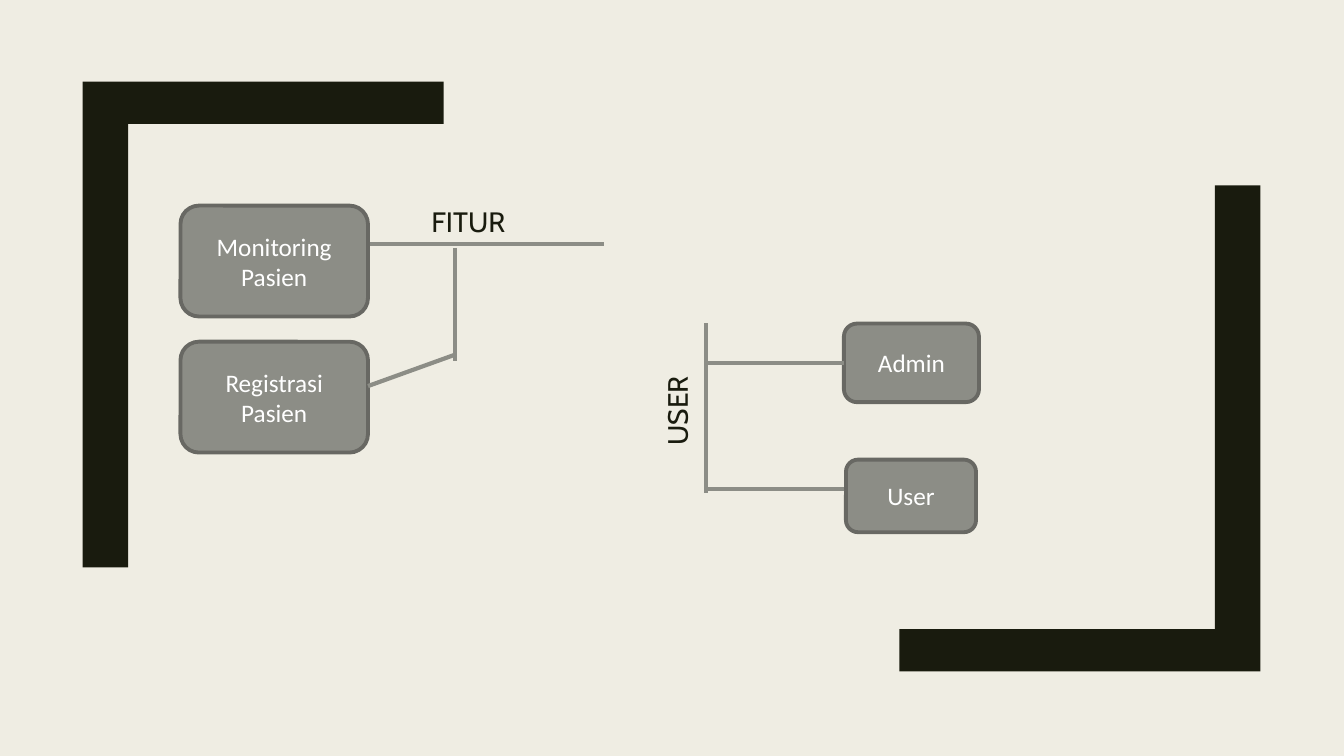
import pptx
import pptx.dml.color
import pptx.enum.shapes
import pptx.enum.text
import pptx.oxml.ns
import pptx.util
import lxml.etree

Inches = pptx.util.Inches
Pt = pptx.util.Pt
ALIGN = pptx.enum.text.PP_ALIGN
ANCHOR = pptx.enum.text.MSO_ANCHOR

COLORS = {
    "background": "EFEDE3",
    "dark": "191B0E",
    "gray": "8C8D86",
    "border": "686863",
    "white": "FFFFFF",
}
BOX_FONT = {"name": "Calibri", "size": Pt(18)}
LABEL_FONT = {"name": "Cabin", "size": Pt(20)}
LABEL_PARAGRAPH = {"alignment": ALIGN.CENTER, "line_spacing": 0.89}
BOX_PARAGRAPH = {"alignment": ALIGN.CENTER}


def color(name):
    return pptx.dml.color.RGBColor.from_string(COLORS[name])


def apply_format(target, values):
    for name, value in values.items():
        setattr(target, name, value)


def write_text(shape, text, paragraph_format, font_format, color_name, anchor):
    apply_format(shape.text_frame, {"word_wrap": True, "vertical_anchor": anchor})
    paragraph = shape.text_frame.paragraphs[0]
    apply_format(paragraph, paragraph_format)
    run = paragraph.add_run()
    run.text = text
    apply_format(run.font, font_format)
    run.font.color.rgb = color(color_name)


def add_bracket(slide, left, top, width, height, side, bar, corner):
    outline = [(0, 0), (width, 0), (width, bar), (side, bar), (side, height), (0, height)]
    if corner == "bottom right":
        outline = [(width - x, height - y) for x, y in outline]
    points = [(Inches(left + x), Inches(top + y)) for x, y in outline]
    builder = slide.shapes.build_freeform(*points[0], scale=1.0)
    builder.add_line_segments(points[1:], close=True)
    shape = builder.convert_to_shape()
    shape.shadow.inherit = False
    shape.fill.solid()
    shape.fill.fore_color.rgb = color("dark")
    shape.line.fill.background()


def add_box(slide, text, left, top, width, height):
    shape = slide.shapes.add_shape(
        pptx.enum.shapes.MSO_SHAPE.ROUNDED_RECTANGLE,
        Inches(left), Inches(top), Inches(width), Inches(height))
    shape.shadow.inherit = False
    shape.fill.solid()
    shape.fill.fore_color.rgb = color("gray")
    shape.line.color.rgb = color("border")
    shape.line.width = Pt(2.75)
    write_text(shape, text, BOX_PARAGRAPH, BOX_FONT, "white", ANCHOR.MIDDLE)
    return shape


def add_label(slide, text, left, top, rotation=0):
    shape = slide.shapes.add_textbox(Inches(left), Inches(top), Inches(1.37), Inches(0.35))
    shape.rotation = rotation
    write_text(shape, text, LABEL_PARAGRAPH, LABEL_FONT, "dark", ANCHOR.BOTTOM)


def add_line(slide, start_x, start_y, end_x, end_y):
    connector = slide.shapes.add_connector(
        pptx.enum.shapes.MSO_CONNECTOR.STRAIGHT,
        Inches(start_x), Inches(start_y), Inches(end_x), Inches(end_y))
    connector.line.color.rgb = color("gray")
    connector.line.width = Pt(3)
    properties = connector._element.spPr
    lxml.etree.SubElement(properties, pptx.oxml.ns.qn("a:effectLst"))
    return connector


def add_feature_region(slide, left, top):
    box_width, box_height, step = 1.86, 1.1, 1.35
    right = left + box_width
    stem = left + 2.72
    add_line(slide, left + 4.2, top + 0.38, right, top + 0.38)
    add_line(slide, stem, top + 0.42, stem, top + 1.54)
    for index, text in enumerate(["Monitoring Pasien", "Registrasi Pasien"]):
        add_box(slide, text, left, top + index * step, box_width, box_height)
    add_line(slide, stem, top + 1.48, right, top + 1.79)
    add_label(slide, "FITUR", left + 2.17, top + 0.03)


def add_user_region(slide, left, top):
    add_line(slide, left, top + 1.69, left, top)
    admin = add_box(slide, "Admin", left + 1.37, top + 0.01, 1.34, 0.78)
    add_box(slide, "User", left + 1.39, top + 1.36, 1.29, 0.72)
    add_label(slide, "USER", left - 0.93, top + 0.7, rotation=270)
    admin_line = add_line(slide, left, top + 0.4, left + 1.37, top + 0.4)
    admin_line.end_connect(admin, 1)
    add_line(slide, left, top + 1.65, left + 1.37, top + 1.65)


def build_slide(presentation):
    slide = presentation.slides.add_slide(presentation.slide_layouts[6])
    slide.background.fill.solid()
    slide.background.fill.fore_color.rgb = color("background")
    add_bracket(slide, 8.92, 1.84, 3.58, 4.82, 0.45, 0.42, "bottom right")
    add_bracket(slide, 0.82, 0.81, 3.58, 4.82, 0.45, 0.42, "top left")
    add_feature_region(slide, 1.79, 2.04)
    add_user_region(slide, 7, 3.2)


def main():
    presentation = pptx.Presentation()
    presentation.slide_width = Inches(13.33)
    presentation.slide_height = Inches(7.5)
    build_slide(presentation)
    presentation.save("out.pptx")


if __name__ == "__main__":
    main()
